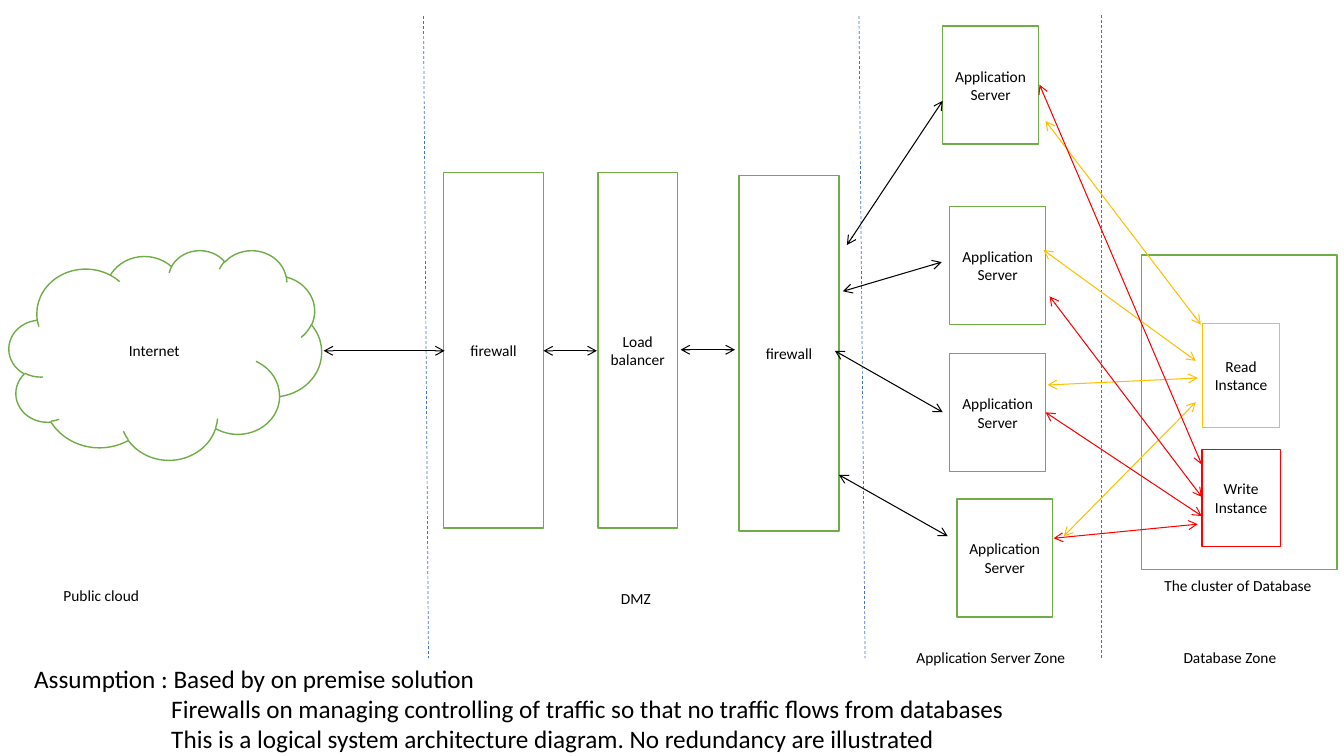
import pptx
import pptx.util
import pptx.dml.color
import pptx.enum.dml
import pptx.enum.shapes
import pptx.enum.text
import pptx.oxml
import pptx.oxml.ns
from pptx.util import Inches

GREEN, BLUE, RED, AMBER = "70AD47", "4472C4", "FF0000", "FFC000"
BLACK, WHITE = "000000", "FFFFFF"
SHAPES = pptx.enum.shapes.MSO_SHAPE


def rgb(color):
    return pptx.dml.color.RGBColor.from_string(color)


def add_line(start, end, color, width):
    """Draw a shadowless straight line between two points in inches."""
    line = slide.shapes.add_connector(
        pptx.enum.shapes.MSO_CONNECTOR.STRAIGHT, *map(Inches, start + end))
    line.line.color.rgb = rgb(color)
    line.line.width = pptx.util.Pt(width)
    properties = line._element.spPr
    properties.append(pptx.oxml.parse_xml(
        f"<a:effectLst {pptx.oxml.ns.nsdecls('a')}/>"))
    return line


presentation = pptx.Presentation()
presentation.slide_width = Inches(13.33)
presentation.slide_height = Inches(7.5)
slide = presentation.slides.add_slide(presentation.slide_layouts[6])

# Zone dividers
for start, end in [((4.2, 0.16), (4.25, 6.53)),
                   ((8.52, 0.16), (8.58, 6.53)),
                   ((10.92, 0.15), (10.92, 6.53))]:
    divider = add_line(start, end, BLUE, 0.5)
    divider.line.dash_style = pptx.enum.dml.MSO_LINE.DASH

# System components: preset, left, top, width, height, outline, text
components = [
    (SHAPES.CLOUD, 0.09, 2.48, 3.1, 2.08, GREEN, "Internet"),
    (SHAPES.RECTANGLE, 4.4, 1.71, 0.99, 3.53, GREEN, "firewall"),
    (SHAPES.RECTANGLE, 5.93, 1.71, 0.79, 3.53, GREEN, "Load balancer"),
    (SHAPES.RECTANGLE, 7.33, 1.74, 0.99, 3.53, GREEN, "firewall"),
    (SHAPES.RECTANGLE, 11.32, 2.53, 1.94, 3.12, GREEN, ""),
    (SHAPES.RECTANGLE, 11.92, 4.46, 0.78, 0.96, RED, "Write Instance"),
    (SHAPES.RECTANGLE, 11.93, 3.21, 0.76, 1.03, AMBER, "Read\nInstance"),
]
for left, top in [(9.35, 0.26), (9.42, 2.05), (9.42, 3.51), (9.49, 4.95)]:
    components.append((SHAPES.RECTANGLE, left, top, 0.95, 1.17, GREEN,
                       "Application\nServer"))

for preset, left, top, width, height, outline, text in components:
    component = slide.shapes.add_shape(
        preset, Inches(left), Inches(top), Inches(width), Inches(height))
    component.shadow.inherit = False
    component.fill.solid()
    component.fill.fore_color.rgb = rgb(WHITE)
    component.line.color.rgb = rgb(outline)
    component.line.width = pptx.util.Pt(1)
    if not text:
        continue
    frame = component.text_frame
    frame.text = text
    frame.word_wrap = True
    frame.vertical_anchor = pptx.enum.text.MSO_ANCHOR.MIDDLE
    for paragraph in frame.paragraphs:
        paragraph.alignment = pptx.enum.text.PP_ALIGN.CENTER
        paragraph.font.size = pptx.util.Pt(11)
        paragraph.font.name = "Calibri"
        paragraph.font.color.rgb = rgb(BLACK)

# Two-way traffic, grouped by colour
traffic = {
    BLACK: [((3.21, 3.48), (4.41, 3.48)), ((5.39, 3.48), (5.92, 3.48)),
            ((6.75, 3.47), (7.29, 3.47)), ((8.4, 2.43), (9.35, 1)),
            ((8.36, 2.89), (9.34, 2.6)), ((8.28, 3.48), (9.35, 4.09)),
            ((8.32, 4.71), (9.4, 5.32))],
    AMBER: [((10.37, 1.2), (11.91, 3.22)), ((10.35, 2.48), (11.86, 3.58)),
            ((10.39, 3.82), (11.88, 3.75)), ((10.55, 5.32), (11.86, 3.99))],
    RED: [((10.31, 0.84), (11.92, 4.61)), ((10.41, 2.94), (11.92, 4.93)),
          ((10.37, 4.09), (11.92, 5.12)), ((10.45, 5.34), (11.88, 5.2))],
}
for color, flows in traffic.items():
    for start, end in flows:
        flow = add_line(start, end, color, 0.75)
        outline = flow.line._get_or_add_ln()
        for tip in ("headEnd", "tailEnd"):
            outline.append(pptx.oxml.parse_xml(
                f"<a:{tip} {pptx.oxml.ns.nsdecls('a')} type='arrow'/>"))

# Captions and assumptions: left, top, width, height, size, wrap, text
assumptions = "\n".join([
    "Assumption : Based by on premise solution",
    "Firewalls on managing controlling of traffic so that no traffic flows from databases",
    "This is a logical system architecture diagram. No redundancy are illustrated",
])
captions = [
    (0.53, 5.77, 0.95, 0.29, 11, False, "Public cloud"),
    (6.06, 5.79, 0.5, 0.29, 11, False, "DMZ"),
    (8.99, 6.38, 1.69, 0.29, 11, False, "Application Server Zone"),
    (11.64, 6.38, 1.13, 0.29, 11, False, "Database Zone"),
    (11.45, 5.67, 1.67, 0.29, 11, False, "The cluster of Database"),
    (0.24, 6.53, 9.95, 1.01, 18, True, assumptions),
]
for left, top, width, height, size, wrap, text in captions:
    caption = slide.shapes.add_textbox(
        Inches(left), Inches(top), Inches(width), Inches(height))
    frame = caption.text_frame
    frame.text = text
    frame.word_wrap = wrap
    frame.auto_size = pptx.enum.text.MSO_AUTO_SIZE.SHAPE_TO_FIT_TEXT
    for paragraph in frame.paragraphs:
        paragraph.font.size = pptx.util.Pt(size)
        paragraph.font.name = "Calibri"
        paragraph.font.color.rgb = rgb(BLACK)
    for detail in frame.paragraphs[1:]:
        detail._p.get_or_add_pPr().set("marL", str(Inches(1.36)))

presentation.save("out.pptx")
